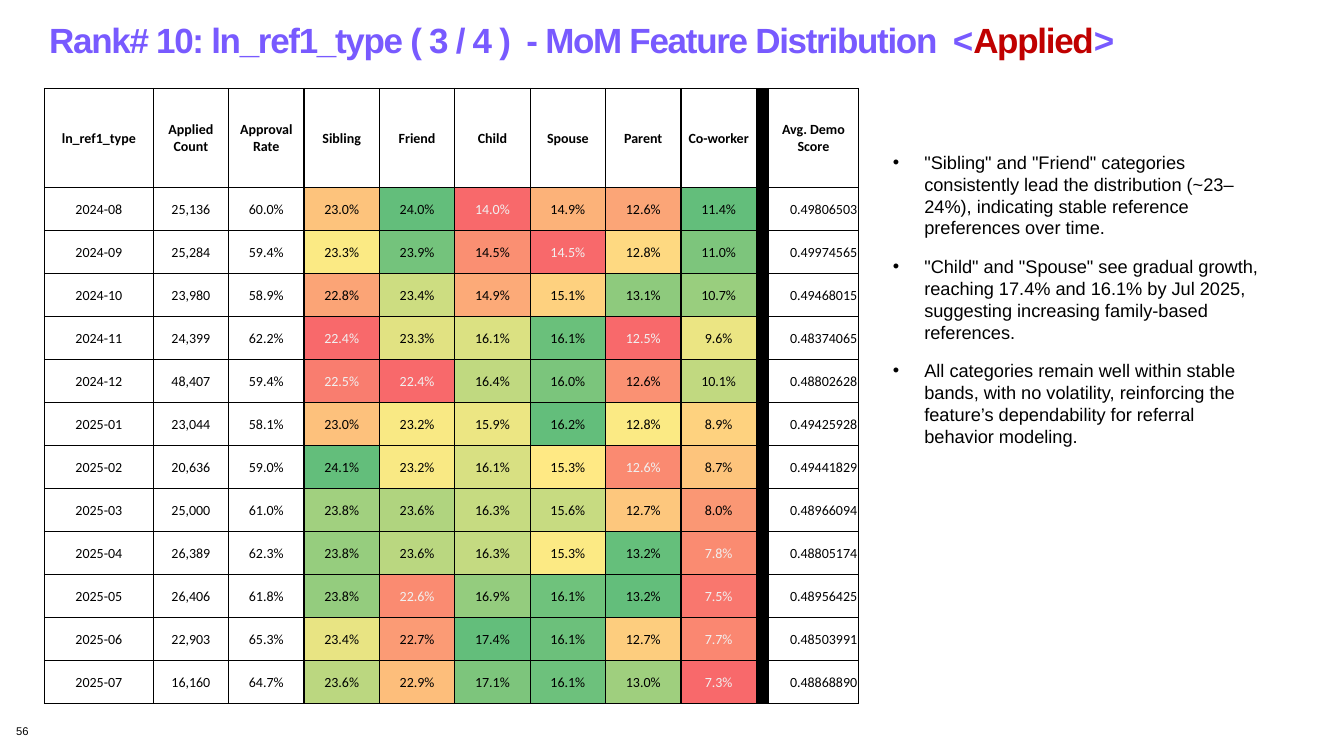
import dataclasses
from typing import Any

import lxml.etree
import pptx
import pptx.dml.color
import pptx.enum.text
import pptx.oxml.ns
import pptx.shapes.base
import pptx.text.text
import pptx.util

Cm = pptx.util.Cm
Pt = pptx.util.Pt
Align = pptx.enum.text.PP_ALIGN
Anchor = pptx.enum.text.MSO_ANCHOR
AutoSize = pptx.enum.text.MSO_AUTO_SIZE

BLACK = "000000"
PALE = "F1F1F1"
VIOLET = "785AFF"
RED = "C00000"
NO_MARGINS = dict(margin_left=0, margin_right=0, margin_top=0, margin_bottom=0)


@dataclasses.dataclass(frozen=True)
class Box:
    left: float
    top: float
    width: float
    height: float


@dataclasses.dataclass(frozen=True)
class Month:
    name: str
    applied: str
    approval: str
    shares: str
    fills: str
    score: str


@dataclasses.dataclass(frozen=True)
class CellStyle:
    fill: str | None = None
    color: str = BLACK
    bold: bool = False
    alignment: Any = Align.CENTER


TITLE_BOX = Box(1.24, 0.3, 32.6, 1.3)
NUMBER_BOX = Box(0.41, 18.26, 7.42, 0.64)
FINDINGS_BOX = Box(22.25, 3.68, 9.96, 6.68)
TABLE_BOX = Box(1.12, 2.23, 20.51, 15.5)
HEADER_HEIGHT = 2.5
COLUMN_WIDTHS = [2.74] + [1.9] * 8 + [0.31, 2.26]

TITLE_RUNS = (
    ("Rank# 10: ln_ref1_type ( 3 / 4 )  - MoM Feature Distribution  <", VIOLET),
    ("Applied", RED),
    (">", VIOLET),
)
FINDINGS = (
    '"Sibling" and "Friend" categories consistently lead the distribution (~23–24%), '
    "indicating stable reference preferences over time.",
    '"Child" and "Spouse" see gradual growth, reaching 17.4% and 16.1% by Jul 2025, '
    "suggesting increasing family-based references.",
    "All categories remain well within stable bands, with no volatility, reinforcing "
    "the feature’s dependability for referral behavior modeling.",
)
HEADERS = ("ln_ref1_type", "Applied Count", "Approval Rate", "Sibling", "Friend", "Child",
           "Spouse", "Parent", "Co-worker", "", "Avg. Demo Score")
MONTHS = (
    Month("2024-08", "25,136", "60.0%", "23.0% 24.0% 14.0% 14.9% 12.6% 11.4%",
          "FDC37C 63BE7B F8696B FCB279 FBA577 63BE7B", "0.49806503"),
    Month("2024-09", "25,284", "59.4%", "23.3% 23.9% 14.5% 14.5% 12.8% 11.0%",
          "FBEA84 74C37C FA8F72 F8696B FED981 7DC57C", "0.49974565"),
    Month("2024-10", "23,980", "58.9%", "22.8% 23.4% 14.9% 15.1% 13.1% 10.7%",
          "FBA476 CDDD81 FCAA78 FED17F 8ECA7D 99CE7E", "0.49468015"),
    Month("2024-11", "24,399", "62.2%", "22.4% 23.3% 16.1% 16.1% 12.5% 9.6%",
          "F8696B E1E282 DBE182 6AC07B F8696B EBE583", "0.48374065"),
    Month("2024-12", "48,407", "59.4%", "22.5% 22.4% 16.4% 16.0% 12.6% 10.1%",
          "F97D6F F8696B C0D980 7BC57C FA9173 C1D980", "0.48802628"),
    Month("2025-01", "23,044", "58.1%", "23.0% 23.2% 15.9% 16.2% 12.8% 8.9%",
          "FDC17C F9E984 ECE683 63BE7B FBEA84 FED27F", "0.49425928"),
    Month("2025-02", "20,636", "59.0%", "24.1% 23.2% 16.1% 15.3% 12.6% 8.7%",
          "63BE7B F9E984 D8E082 FFE984 FA8A71 FDC47C", "0.49441829"),
    Month("2025-03", "25,000", "61.0%", "23.8% 23.6% 16.3% 15.6% 12.7% 8.0%",
          "A1D07F B0D47F C6DB81 C7DB81 FDC77D FA9774", "0.48966094"),
    Month("2025-04", "26,389", "62.3%", "23.8% 23.6% 16.3% 15.3% 13.2% 7.8%",
          "96CD7E BAD780 C4DA81 FCEA84 65BF7B FA8B71", "0.48805174"),
    Month("2025-05", "26,406", "61.8%", "23.8% 22.6% 16.9% 16.1% 13.2% 7.5%",
          "94CC7E FA8B71 94CC7E 6FC27C 63BE7B F9776E", "0.48956425"),
    Month("2025-06", "22,903", "65.3%", "23.4% 22.7% 17.4% 16.1% 12.7% 7.7%",
          "E8E483 FB9B75 63BE7B 6CC07B FDCD7E FA8771", "0.48503991"),
    Month("2025-07", "16,160", "64.7%", "23.6% 22.9% 17.1% 16.1% 13.0% 7.3%",
          "BBD780 FDBE7B 7DC57C 6DC17C 9FCF7E F8696B", "0.48868890"),
)


def rgb(value: str) -> pptx.dml.color.RGBColor:
    return pptx.dml.color.RGBColor.from_string(value)


def apply_format(target: Any, values: dict[str, Any]) -> None:
    for name, value in values.items():
        setattr(target, name, value)


def place(shape: pptx.shapes.base.BaseShape, box: Box) -> None:
    apply_format(shape, {name: Cm(size) for name, size in dataclasses.asdict(box).items()})


def add_child(parent: Any, tag: str, **attributes: str) -> Any:
    return lxml.etree.SubElement(parent, pptx.oxml.ns.qn(tag), attributes)


def format_font(font: pptx.text.text.Font, size: float, color: str,
                name: str = "Arial", bold: bool = False) -> None:
    apply_format(font, dict(name=name, size=Pt(size), bold=bold))
    font.color.rgb = rgb(color)


def draw_title(slide: Any) -> None:
    title = slide.shapes.title
    place(title, TITLE_BOX)
    apply_format(title.text_frame, dict(NO_MARGINS, word_wrap=True, auto_size=AutoSize.NONE,
                                        vertical_anchor=Anchor.MIDDLE))
    paragraph = title.text_frame.paragraphs[0]
    apply_format(paragraph, dict(alignment=Align.LEFT, line_spacing=1.1))
    for text, color in TITLE_RUNS:
        run = paragraph.add_run()
        run.text = text
        format_font(run.font, 25, color, bold=True)
        run._r.get_or_add_rPr().set("spc", "-90")


def draw_page_number(slide: Any) -> None:
    number = slide.shapes.add_textbox(0, 0, 0, 0)
    place(number, NUMBER_BOX)
    apply_format(number.text_frame, dict(NO_MARGINS, word_wrap=True, text="56"))
    format_font(number.text_frame.paragraphs[0].runs[0].font, 8, BLACK)


def draw_findings(slide: Any) -> None:
    body = slide.placeholders[1]
    place(body, FINDINGS_BOX)
    apply_format(body.text_frame, dict(word_wrap=True, auto_size=AutoSize.SHAPE_TO_FIT_TEXT,
                                       vertical_anchor=Anchor.TOP, text="\n".join(FINDINGS)))
    indent = Cm(0.79)
    for paragraph in body.text_frame.paragraphs:
        properties = paragraph._p.get_or_add_pPr()
        apply_format(paragraph, dict(alignment=Align.LEFT, space_before=0, space_after=Pt(12)))
        properties.set("marL", str(indent))
        properties.set("indent", str(-indent))
        add_child(properties, "a:buFont", typeface="Arial")
        add_child(properties, "a:buChar", char="•")
        format_font(paragraph.runs[0].font, 13, BLACK)


def draw_cell(cell: Any, text: str, style: CellStyle) -> None:
    inset = Cm(0.03)
    apply_format(cell, dict(text=text, vertical_anchor=Anchor.MIDDLE, margin_left=inset,
                            margin_right=inset, margin_top=inset, margin_bottom=0))
    properties = cell._tc.get_or_add_tcPr()
    for side in "LRTB":
        border = add_child(properties, f"a:ln{side}", w=str(Pt(1)))
        add_child(add_child(border, "a:solidFill"), "a:srgbClr", val=BLACK)
    if style.fill:
        cell.fill.solid()
        cell.fill.fore_color.rgb = rgb(style.fill)
    else:
        cell.fill.background()
    paragraph = cell.text_frame.paragraphs[0]
    paragraph.alignment = style.alignment
    format_font(paragraph.font, 10, style.color, "Calibri", style.bold)
    for run in paragraph.runs:
        format_font(run.font, 10, style.color, "Calibri", style.bold)


def heat_style(fill: str) -> CellStyle:
    return CellStyle(fill, PALE if int(fill[2:4], 16) < 0x8C else BLACK)


def draw_table(slide: Any) -> None:
    frame = slide.shapes.add_table(len(MONTHS) + 1, len(HEADERS), 0, 0, 0, 0)
    place(frame, TABLE_BOX)
    table = frame.table
    apply_format(table, dict(first_row=False, horz_banding=False))
    for column, width in zip(table.columns, COLUMN_WIDTHS):
        column.width = Cm(width)
    for row in table.rows:
        row.height = Cm((TABLE_BOX.height - HEADER_HEIGHT) / len(MONTHS))
    table.rows[0].height = Cm(HEADER_HEIGHT)

    plain, divider = CellStyle(), CellStyle(BLACK)
    rows = [[(text, CellStyle(bold=True) if text else divider) for text in HEADERS]]
    for month in MONTHS:
        facts = [(text, plain) for text in (month.name, month.applied, month.approval)]
        heat = [(share, heat_style(fill))
                for share, fill in zip(month.shares.split(), month.fills.split())]
        score = (month.score, CellStyle(alignment=Align.RIGHT))
        rows.append([*facts, *heat, ("", divider), score])
    for row, contents in zip(table.rows, rows):
        for cell, (text, style) in zip(row.cells, contents):
            draw_cell(cell, text, style)


def main() -> None:
    presentation = pptx.Presentation()
    apply_format(presentation, dict(slide_width=Cm(33.87), slide_height=Cm(19.05)))
    slide = presentation.slides.add_slide(presentation.slide_layouts[1])
    draw_title(slide)
    draw_page_number(slide)
    draw_findings(slide)
    draw_table(slide)
    presentation.save("out.pptx")


if __name__ == "__main__":
    main()
